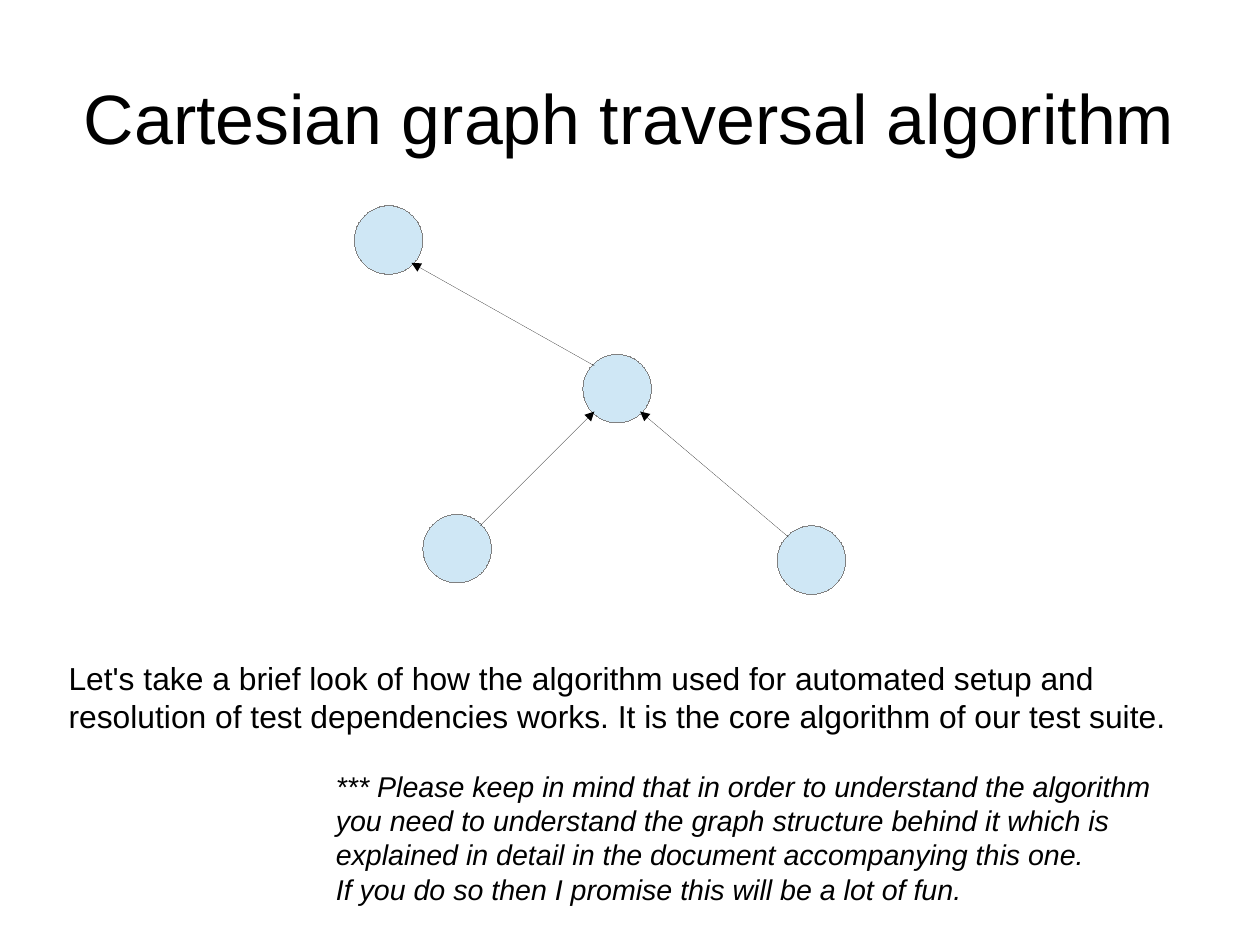
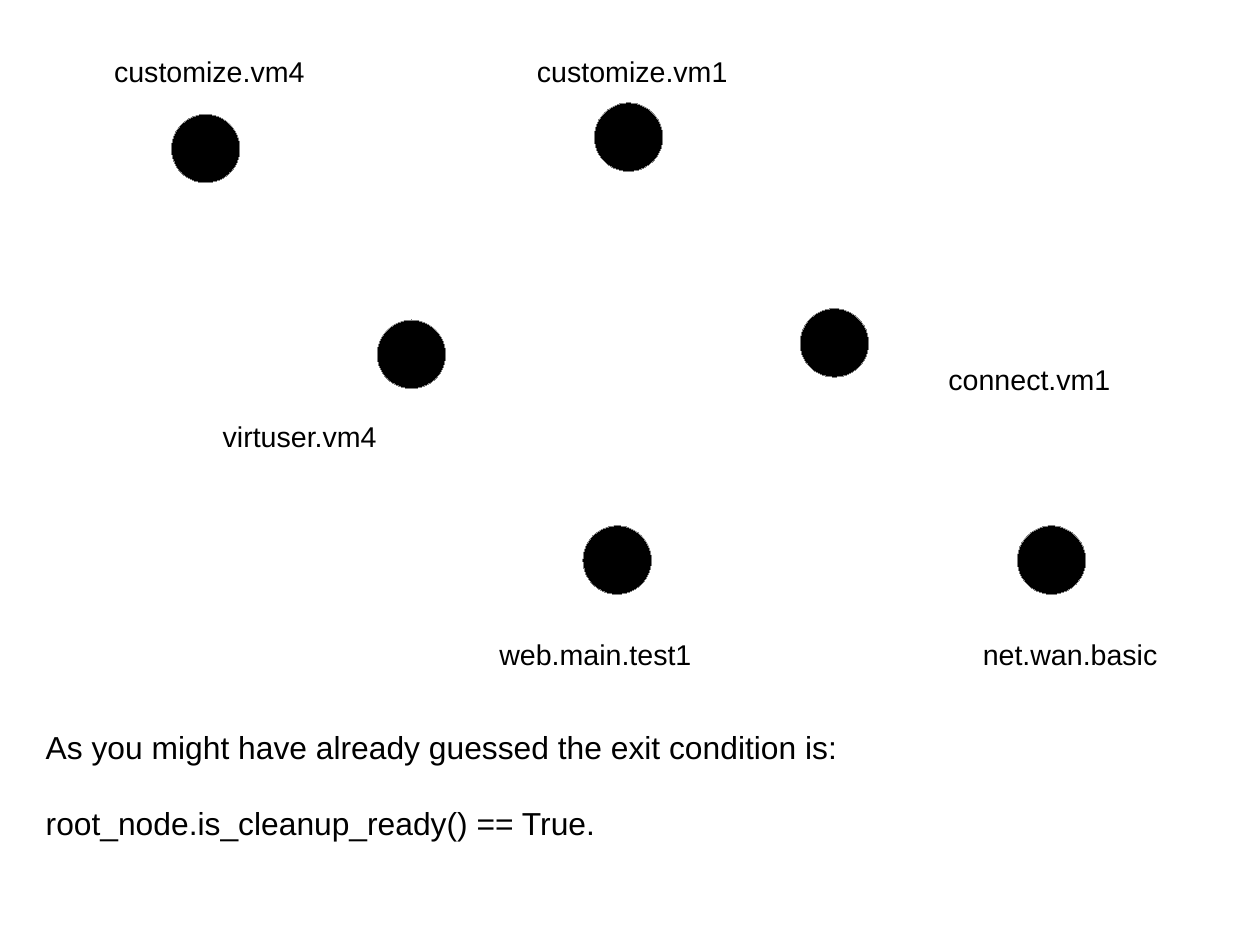
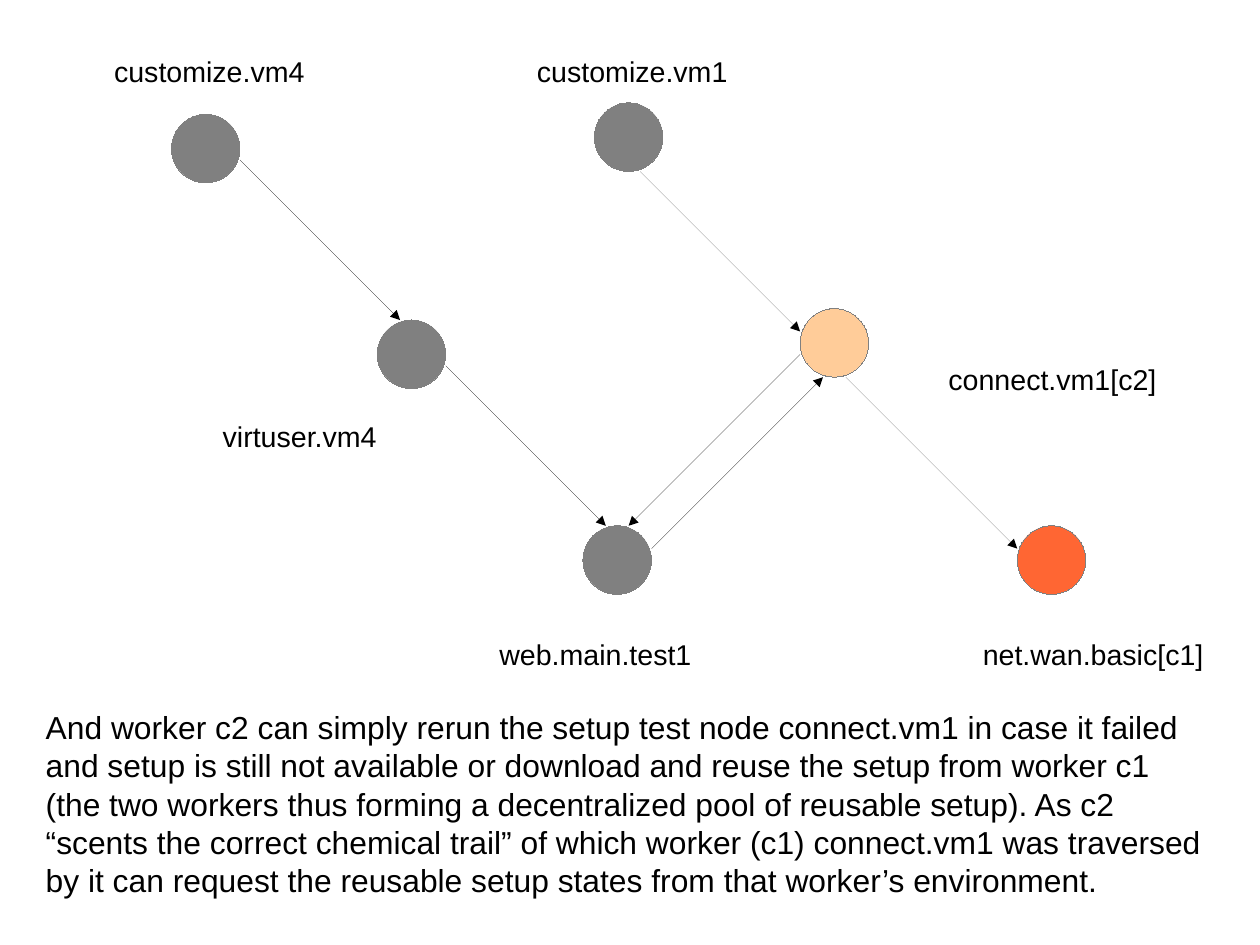
from dataclasses import dataclass
from typing import Optional, Sequence

from lxml import etree
from pptx import Presentation
from pptx.dml.color import RGBColor
from pptx.dml.line import LineFormat
from pptx.enum.shapes import MSO_CONNECTOR, MSO_SHAPE
from pptx.enum.text import MSO_ANCHOR, PP_ALIGN
from pptx.oxml.ns import qn
from pptx.slide import Slide
from pptx.util import Cm, Inches, Length, Pt

OVAL = MSO_SHAPE.OVAL
STRAIGHT = MSO_CONNECTOR.STRAIGHT
TOP, MIDDLE = MSO_ANCHOR.TOP, MSO_ANCHOR.MIDDLE
LEFT, CENTER = PP_ALIGN.LEFT, PP_ALIGN.CENTER

# Shared look: lengths on a slide are counted in grid cells of a tenth of an inch
SLIDE_WIDTH, SLIDE_HEIGHT = Cm(28), Cm(21)
NODE_SIZE = 6
LABEL_WIDTH, LABEL_HEIGHT = 24, 3.8
FONT = "Arial"
LINE_PITCH = 1.2
BLACK = RGBColor(0x00, 0x00, 0x00)
GRAY = RGBColor(0x80, 0x80, 0x80)
PALE_BLUE = RGBColor(0xCF, 0xE7, 0xF5)
ORANGE = RGBColor(0xFF, 0x66, 0x33)
PEACH = RGBColor(0xFF, 0xCC, 0x99)


@dataclass(frozen=True)
class TextStyle:
    size: int
    italic: bool = False
    align: PP_ALIGN = LEFT
    anchor: MSO_ANCHOR = TOP
    inset: tuple[float, float] = (0, 0)
    gap: int = 0


@dataclass(frozen=True)
class Box:
    column: float
    row: float
    columns: float
    rows: float


@dataclass(frozen=True)
class Node:
    column: float
    row: float
    fill: RGBColor


@dataclass(frozen=True)
class Arrow:
    start: tuple[float, float]
    end: tuple[float, float]


@dataclass(frozen=True)
class TestNode:
    name: str
    column: float
    row: float
    label_column: float
    label_row: float


TITLE = TextStyle(44, align=CENTER, anchor=MIDDLE)
BODY = TextStyle(20)
SPACED_BODY = TextStyle(20, gap=24)
LABEL = TextStyle(18, inset=(1, 0.5))
REMARK = TextStyle(18, italic=True, inset=(1, 0.5))

# Test graph used by the second and third slides
TEST_NODES = (
    TestNode("customize.vm4", 15, 10, 9, 4.2),
    TestNode("customize.vm1", 52, 9, 46, 4.2),
    TestNode("virtuser.vm4", 33, 28, 18.5, 36.2),
    TestNode("connect.vm1", 70, 27, 82, 31.15),
    TestNode("web.main.test1", 51, 46, 42.7, 55.2),
    TestNode("net.wan.basic", 89, 46, 85, 55.2),
)
TEST_ARROWS = (
    Arrow((21, 14), (35, 28)),
    Arrow((39, 32), (53, 46)),
    Arrow((57, 48), (72, 33)),
    Arrow((70, 31), (55, 46)),
    Arrow((74, 33), (89, 48)),
    Arrow((56, 15), (70, 29)),
)

# Opening graph
OPENING_NODES = tuple(
    Node(column, row, PALE_BLUE)
    for column, row in ((31, 18), (51, 31), (37, 45), (68, 46))
)
OPENING_ARROWS = (
    Arrow((42, 46), (52, 36)),
    Arrow((69, 47), (56, 36)),
    Arrow((52, 32), (36, 23)),
)


def cells(count: float) -> Length:
    return Inches(count / 10)


def add_text(slide: Slide, box: Box, style: TextStyle, lines: Sequence[str]) -> None:
    shape = slide.shapes.add_textbox(
        cells(box.column), cells(box.row), cells(box.columns), cells(box.rows)
    )
    text_frame = shape.text_frame
    text_frame.word_wrap = True
    text_frame.vertical_anchor = style.anchor
    horizontal, vertical = (cells(inset) for inset in style.inset)
    text_frame.margin_left = text_frame.margin_right = horizontal
    text_frame.margin_top = text_frame.margin_bottom = vertical
    text_frame.text = "\n".join(lines)
    for index, paragraph in enumerate(text_frame.paragraphs):
        paragraph.alignment = style.align
        paragraph.line_spacing = Pt(style.size * LINE_PITCH)
        if index and style.gap:
            paragraph.space_before = Pt(style.gap)
        for run in paragraph.runs:
            run.font.name = FONT
            run.font.size = Pt(style.size)
            run.font.italic = style.italic
            run.font.color.rgb = BLACK


def set_hairline(line: LineFormat, color: RGBColor) -> etree.ElementBase:
    """Colour the line; the zero width is written out to override the theme."""
    line.color.rgb = color
    outline = line.fill._xPr
    outline.set("w", "0")
    return outline


def add_node(slide: Slide, node: Node) -> None:
    shape = slide.shapes.add_shape(
        OVAL, cells(node.column), cells(node.row), cells(NODE_SIZE), cells(NODE_SIZE)
    )
    shape.shadow.inherit = False
    shape.fill.solid()
    shape.fill.fore_color.rgb = node.fill
    set_hairline(shape.line, GRAY)


def add_arrow(slide: Slide, arrow: Arrow) -> None:
    connector = slide.shapes.add_connector(
        STRAIGHT, *(cells(value) for value in arrow.start + arrow.end)
    )
    outline = set_hairline(connector.line, BLACK)
    etree.SubElement(outline, qn("a:tailEnd"), type="triangle")
    etree.SubElement(connector.element.spPr, qn("a:effectLst"))


def add_graph(slide: Slide, nodes: Sequence[Node], arrows: Sequence[Arrow]) -> None:
    for node in nodes:
        add_node(slide, node)
    for arrow in arrows:
        add_arrow(slide, arrow)


def add_test_graph(
    slide: Slide,
    default_fill: RGBColor,
    fills: Optional[dict[str, RGBColor]] = None,
    workers: Optional[dict[str, str]] = None,
    arrows: Sequence[Arrow] = (),
) -> None:
    fills, workers = fills or {}, workers or {}
    nodes = [
        Node(test.column, test.row, fills.get(test.name, default_fill))
        for test in TEST_NODES
    ]
    add_graph(slide, nodes, arrows)
    for test in TEST_NODES:
        box = Box(test.label_column, test.label_row, LABEL_WIDTH, LABEL_HEIGHT)
        add_text(slide, box, LABEL, [test.name + workers.get(test.name, "")])


def build_opening(slide: Slide) -> None:
    add_text(slide, Box(5.5, 3.3, 99.2, 13.8), TITLE,
             ["Cartesian graph traversal algorithm"])
    add_graph(slide, OPENING_NODES, OPENING_ARROWS)
    add_text(slide, Box(6, 57.65, 99.2, 7), BODY, [
        "Let's take a brief look of how the algorithm used for automated setup and "
        "resolution of test dependencies works. It is the core algorithm of our test suite."
    ])
    add_text(slide, Box(28.4, 66.75, 75, 13), REMARK, [
        "*** Please keep in mind that in order to understand the algorithm",
        "you need to understand the graph structure behind it which is",
        "explained in detail in the document accompanying this one.",
        "If you do so then I promise this will be a lot of fun.",
    ])


def build_exit_condition(slide: Slide) -> None:
    add_test_graph(slide, BLACK)
    add_text(slide, Box(4, 63.65, 102, 13.4), SPACED_BODY, [
        "As you might have already guessed the exit condition is:",
        "root_node.is_cleanup_ready() == True.",
    ])


def build_shared_setup(slide: Slide) -> None:
    add_test_graph(
        slide,
        GRAY,
        fills={"connect.vm1": PEACH, "net.wan.basic": ORANGE},
        workers={"connect.vm1": "[c2]", "net.wan.basic": "[c1]"},
        arrows=TEST_ARROWS,
    )
    add_text(slide, Box(4, 61.95, 102, 16.7), BODY, [
        "And worker c2 can simply rerun the setup test node connect.vm1 in case it failed "
        "and setup is still not available or download and reuse the setup from worker c1 "
        "(the two workers thus forming a decentralized pool of reusable setup). As c2 "
        "“scents the correct chemical trail” of which worker (c1) connect.vm1 was traversed "
        "by it can request the reusable setup states from that worker’s environment."
    ])


def main() -> None:
    presentation = Presentation()
    presentation.slide_width = SLIDE_WIDTH
    presentation.slide_height = SLIDE_HEIGHT
    blank_layout = presentation.slide_layouts[6]
    for build in (build_opening, build_exit_condition, build_shared_setup):
        build(presentation.slides.add_slide(blank_layout))
    presentation.save("out.pptx")


if __name__ == "__main__":
    main()
